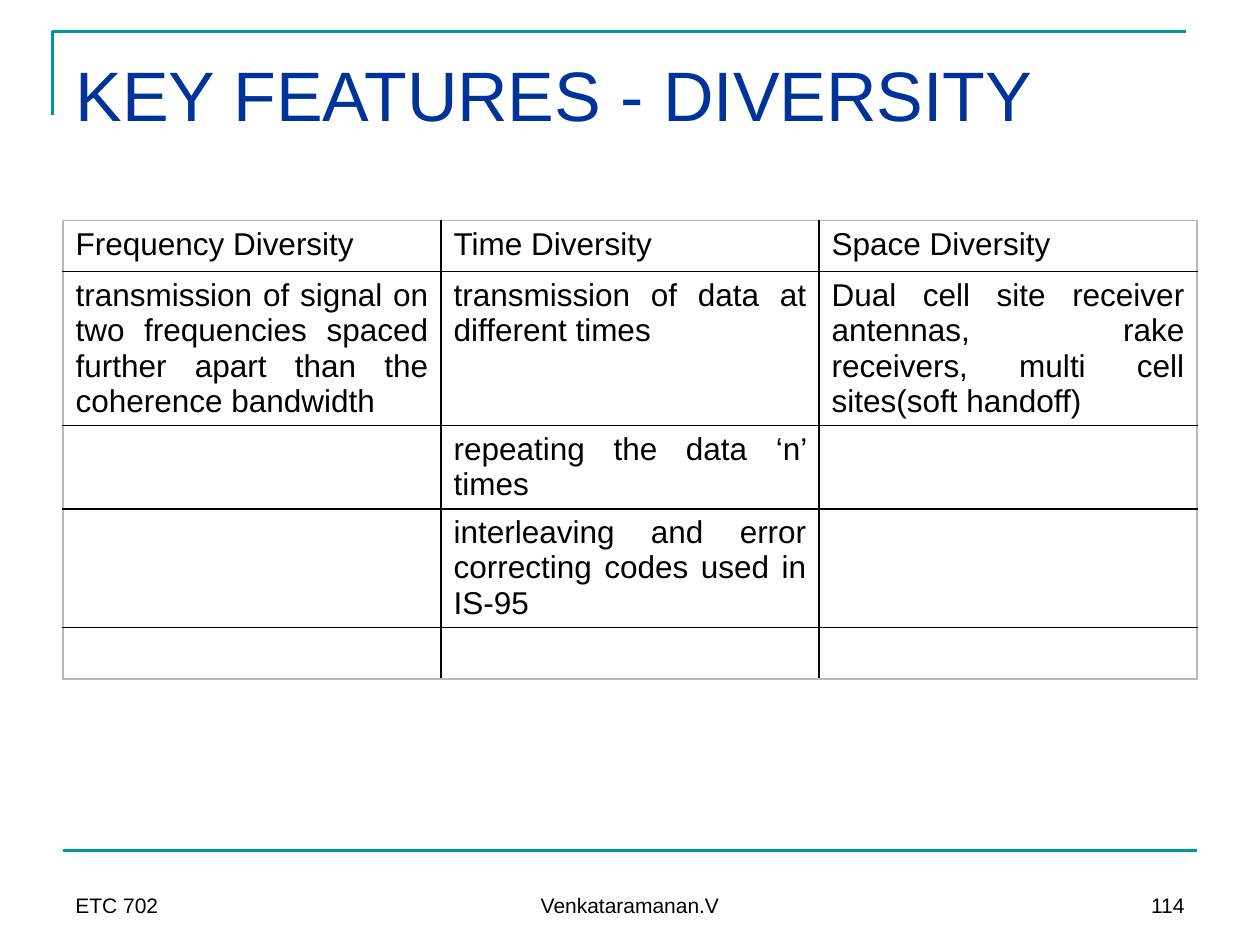
from lxml.etree import SubElement
from pptx import Presentation
from pptx.dml.color import RGBColor
from pptx.enum.text import MSO_ANCHOR, PP_ALIGN
from pptx.oxml.ns import qn
from pptx.util import Pt

COLORS = {"title": "003399", "rule": "009999", "text": "000000",
          "grid": "000000", "frame": "B8B8B8"}


def add_text(para, text, size, color):
    span = para.add_run()
    span.text = text
    span.font.name = "Arial"
    span.font.size = Pt(size)
    span.font.color.rgb = RGBColor.from_string(COLORS[color])


def add_border(cell, side, color):
    line = SubElement(cell._tc.get_or_add_tcPr(), qn(f"a:ln{side}"), w=str(Pt(1)))
    SubElement(SubElement(line, qn("a:solidFill")), qn("a:srgbClr"), val=COLORS[color])


deck = Presentation()
deck.slide_width, deck.slide_height = Pt(720), Pt(540)
page = deck.slides.add_slide(deck.slide_layouts[5])

outline = page.shapes.build_freeform(Pt(30), Pt(66))
outline.add_line_segments([(Pt(30), Pt(18)), (Pt(678), Pt(18))], close=False)
corner = outline.convert_to_shape()
corner.shadow.inherit = False
corner.fill.background()
footer_rule = page.shapes.add_connector(1, Pt(36), Pt(486), Pt(684), Pt(486))
SubElement(footer_rule._element.spPr, qn("a:effectLst"))
for rule in (corner, footer_rule):
    rule.line.color.rgb = RGBColor.from_string(COLORS["rule"])
    rule.line.width = Pt(1.5)

title = page.shapes.title
title.left, title.top, title.width, title.height = Pt(36), Pt(21.6), Pt(648), Pt(90)
title.text_frame.vertical_anchor = MSO_ANCHOR.TOP
title.text_frame.margin_top = Pt(8)
title.text_frame.paragraphs[0].alignment = PP_ALIGN.LEFT
add_text(title.text_frame.paragraphs[0], "KEY FEATURES - DIVERSITY", 40, "title")

rows = [
    ("Frequency Diversity", "Time Diversity", "Space Diversity"),
    ("transmission of signal on two frequencies spaced further apart than the coherence bandwidth",
     "transmission of data at different times",
     "Dual cell site receiver antennas, rake receivers, multi cell sites(soft handoff)"),
    ("", "repeating the data ‘n’ times", ""),
    ("", "interleaving and error correcting codes used in IS-95", ""),
    ("", "", ""),
]
heights = [29.2, 88, 47.5, 68, 29.2]
table = page.shapes.add_table(5, 3, Pt(36), Pt(126), Pt(648), Pt(sum(heights))).table
table.first_row = table.horz_banding = False
for column in table.columns:
    column.width = Pt(216)
for row_index, (texts, height) in enumerate(zip(rows, heights)):
    table.rows[row_index].height = Pt(height)
    for column_index, text in enumerate(texts):
        cell = table.cell(row_index, column_index)
        edges = {"L": column_index == 0, "R": column_index == 2,
                 "T": row_index == 0, "B": row_index == 4}
        for side, outer in edges.items():
            add_border(cell, side, "frame" if outer else "grid")
        cell.fill.background()
        para = cell.text_frame.paragraphs[0]
        para.alignment = PP_ALIGN.JUSTIFY if row_index else PP_ALIGN.LEFT
        if text:
            add_text(para, text, 18, "text")

footers = [
    ("ETC 702", 36, 168, PP_ALIGN.LEFT),
    ("Venkataramanan.V", 246, 228, PP_ALIGN.CENTER),
    ("114", 516, 168, PP_ALIGN.RIGHT),
]
for text, left, width, alignment in footers:
    box = page.shapes.add_textbox(Pt(left), Pt(492), Pt(width), Pt(36))
    box.text_frame.word_wrap = True
    box.text_frame.vertical_anchor = MSO_ANCHOR.BOTTOM
    para = box.text_frame.paragraphs[0]
    para.alignment = alignment
    add_text(para, text, 12, "text")

deck.save("out.pptx")
